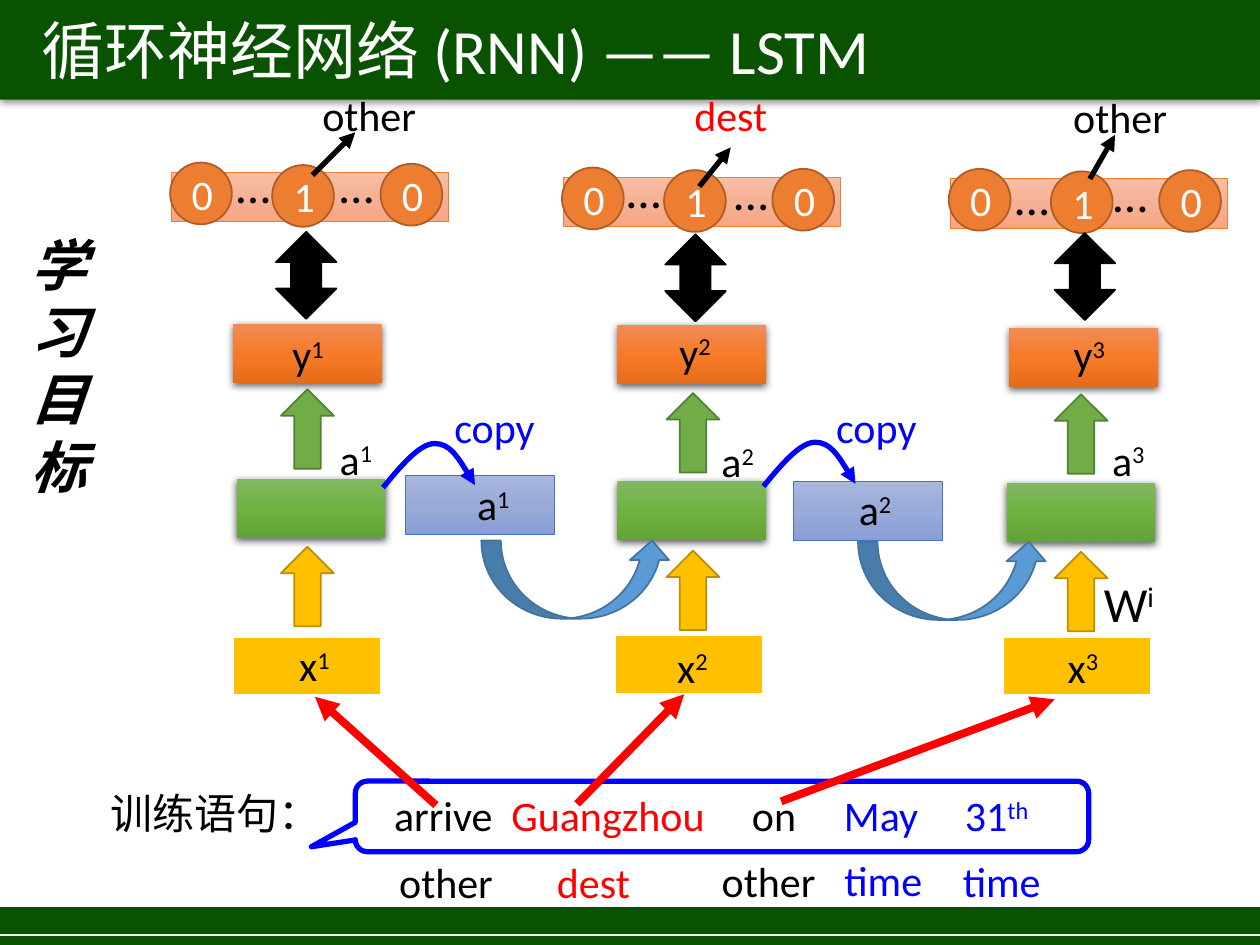
from copy import deepcopy
from dataclasses import dataclass

from lxml import etree
from pptx import Presentation
from pptx.dml.color import RGBColor
from pptx.enum.shapes import MSO_CONNECTOR, MSO_SHAPE
from pptx.enum.text import MSO_ANCHOR, MSO_AUTO_SIZE, PP_ALIGN
from pptx.oxml.ns import qn
from pptx.util import Inches, Pt

LEFT, CENTER, MIDDLE = PP_ALIGN.LEFT, PP_ALIGN.CENTER, MSO_ANCHOR.MIDDLE
RECT, OVAL, CALLOUT = MSO_SHAPE.RECTANGLE, MSO_SHAPE.OVAL, MSO_SHAPE.ROUNDED_RECTANGULAR_CALLOUT
UP, UP_DOWN, CURVED_UP = MSO_SHAPE.UP_ARROW, MSO_SHAPE.UP_DOWN_ARROW, MSO_SHAPE.CURVED_UP_ARROW
STRAIGHT = MSO_CONNECTOR.STRAIGHT


@dataclass(frozen=True)
class Theme:
    font: str = "Calibri"
    title: int = 36
    side: int = 32
    large: int = 28
    body: int = 24
    black: str = "000000"
    white: str = "FFFFFF"
    band: str = "095200"
    red: str = "FF0000"
    blue: str = "0000FF"
    # Fill and edge
    unit: tuple = ("ED7D31", "AF5C24")
    yellow: tuple = ("FFC000", "BD8E00")
    green: tuple = ("70AD47", "538035")
    loop: tuple = ("5B9BD5", "43739E")
    # Gradient stops
    hidden: tuple = ("81B861", "6FB242", "62A336")
    output: tuple = ("F18C57", "F67B28", "E56C19")
    memory: tuple = ("A8B7DF", "9AABD9", "889ED7")
    memory_edge: str = "4472C4"
    vector: tuple = ("F7BDA5", "F5B196", "F8A582")


T = Theme()
BOX = (1.18, 0.47)

# One entry per time step; places are (left, top) in inches
STEPS = [
    dict(number=1, x=(1.85, 5.05), a=(1.88, 3.8), y=(1.85, 2.57), double=(2.19, 1.84),
         arrows=((2.23, 4.34), (2.23, 3.09)), vector=(1.36, 1.37),
         x_label=(2, 5.03), y_label=(1.95, 2.56), a_label=(2.51, 3.39),
         dots=((1.77, 1.18), (2.59, 1.18)), slot=("other", T.black), slot_at=(2.42, 0.66),
         pointer=(2.48, 1.39, 2.82, 1.05), word_arrow=(3.46, 6.39, 2.5, 5.53)),
    dict(number=2, x=(4.88, 5.04), a=(4.9, 3.82), y=(4.9, 2.58), double=(5.28, 1.86),
         arrows=((5.29, 4.37), (5.29, 3.12)), vector=(4.47, 1.41),
         x_label=(5, 5.04), y_label=(5.02, 2.54), a_label=(5.54, 3.41),
         dots=((4.87, 1.22), (5.72, 1.23)), slot=("dest", T.red), slot_at=(5.29, 0.66),
         pointer=(5.55, 1.48, 5.8, 1.17), word_arrow=(4.58, 6.38, 5.43, 5.51)),
    dict(number=3, x=(7.96, 5.05), a=(7.99, 3.83), y=(8.01, 2.6), double=(8.37, 1.85),
         arrows=((8.37, 4.38), (8.37, 3.13)), vector=(7.54, 1.42),
         x_label=(8.1, 5.04), y_label=(8.15, 2.56), a_label=(8.64, 3.4),
         dots=((7.95, 1.27), (8.73, 1.25)), slot=("other", T.black), slot_at=(8.38, 0.68),
         pointer=(8.65, 1.42, 8.85, 1.07), word_arrow=(6.2, 6.36, 8.37, 5.55)),
]


def write(frame, *parts, size=T.body, color=T.black, align=CENTER, strong=False):
    """Fill a frame with strings or (string, color) parts; ^ starts a superscript."""
    frame.word_wrap = True
    paragraph = frame.paragraphs[0]
    paragraph.alignment = align
    for part in parts:
        text, ink = (part, color) if isinstance(part, str) else part
        base, _, raised = text.partition("^")
        for piece in filter(None, (base, raised)):
            run = paragraph.add_run()
            run.text = piece
            run.font.name, run.font.size = T.font, Pt(size)
            run.font.bold = run.font.italic = strong
            run.font.color.rgb = RGBColor.from_string(ink)
            if piece is raised:
                run.font._element.set("baseline", "30000")


def add_label(shapes, at, extent, *parts, **style):
    box = shapes.add_textbox(*map(Inches, at + extent))
    box.text_frame.auto_size = MSO_AUTO_SIZE.SHAPE_TO_FIT_TEXT
    write(box.text_frame, *parts, **style)


def set_shadow(shape, alpha, blur, distance):
    shape.shadow.inherit = False
    effects = shape._element.spPr.find(qn("a:effectLst"))
    shadow = etree.SubElement(effects, qn("a:outerShdw"), blurRad=str(Pt(blur)),
                              dist=str(Pt(distance)), dir="5400000", rotWithShape="0")
    ink = etree.SubElement(shadow, qn("a:srgbClr"), val=T.black)
    etree.SubElement(ink, qn("a:alpha"), val=str(alpha * 1000))


def set_fill(shape, fill):
    if fill is None:
        shape.fill.background()
    elif isinstance(fill, str):
        shape.fill.solid()
        shape.fill.fore_color.rgb = RGBColor.from_string(fill)
    else:
        shape.fill.gradient()
        shape.fill.gradient_angle = 270
        stops = shape._element.spPr.find(".//" + qn("a:gsLst"))
        stops.append(deepcopy(stops[0]))
        for stop, color, position in zip(shape.fill.gradient_stops, fill, (0, 0.5, 1)):
            stop.color.rgb, stop.position = RGBColor.from_string(color), position


def set_line(line, color, width, arrow=False):
    line.color.rgb = RGBColor.from_string(color)
    line.width = Pt(width)
    if arrow:
        etree.SubElement(line._get_or_add_ln(), qn("a:tailEnd"), type="triangle")


def add_shape(shapes, kind, at, extent, fill, edge=None, width=1):
    shape = shapes.add_shape(kind, *map(Inches, at + extent))
    shape.shadow.inherit = False
    set_fill(shape, fill)
    if edge:
        set_line(shape.line, edge, width)
    else:
        shape.line.fill.background()
    return shape


def add_line(shapes, ends, color, width, arrow=True):
    connector = shapes.add_connector(STRAIGHT, *map(Inches, ends))
    set_line(connector.line, color, width, arrow)
    etree.SubElement(connector._element.spPr, qn("a:effectLst"))


def add_copy_curve(shapes, left, top):
    """Arrow of two Bezier segments from a hidden layer to its memory."""
    offsets = ((0.14, -0.17), (0.29, -0.35), (0.41, -0.35),
               (0.53, -0.35), (0.63, -0.19), (0.73, -0.02))
    builder = shapes.build_freeform(Inches(left), Inches(top))
    builder.add_line_segments([(Inches(left + dx), Inches(top + dy)) for dx, dy in offsets], False)
    curve = builder.convert_to_shape()
    outline = curve._element.spPr.find(".//" + qn("a:path"))
    segments = outline.findall(qn("a:lnTo"))
    for start in (0, 3):
        bezier = etree.SubElement(outline, qn("a:cubicBezTo"))
        for segment in segments[start:start + 3]:
            bezier.append(segment[0])
            outline.remove(segment)
    curve.shadow.inherit = False
    set_fill(curve, None)
    set_line(curve.line, T.blue, 3, arrow=True)


def add_bands(slide):
    title = slide.shapes.title
    title.left, title.top, title.width, title.height = map(Inches, (0, -0.01, 10, 0.8))
    set_fill(title, T.band)
    set_shadow(title, 40, 4, 1)
    frame = title.text_frame
    frame.auto_size, frame.vertical_anchor = MSO_AUTO_SIZE.NONE, MIDDLE
    frame.margin_left = Inches(0.33)
    write(frame, "循环神经网络 (RNN) —— LSTM", size=T.title, color=T.white, align=LEFT)
    add_shape(slide.shapes, RECT, (0, 7.2), (10, 0.3), T.band)
    add_line(slide.shapes, (0, 7.42, 10, 7.42), T.white, 0.75, arrow=False)


def add_vector(shapes, left, top):
    group = shapes.add_group_shape().shapes
    add_shape(group, RECT, (left, top), (2.2, 0.39), T.vector, T.unit[0], 0.5)
    for digit, dx, dy in (("1", 0.8, -0.06), ("0", -0.01, -0.08), ("0", 1.66, -0.07)):
        unit = add_shape(group, OVAL, (left + dx, top + dy), (0.49, 0.49), *T.unit)
        unit.text_frame.vertical_anchor = MIDDLE
        write(unit.text_frame, digit, color=T.white)


def add_step(shapes, step):
    # Input, hidden and output layers
    add_shape(shapes, RECT, step["x"], BOX, T.yellow[0], T.white, 1.5)
    for layer, fill in (("a", T.hidden), ("y", T.output)):
        set_shadow(add_shape(shapes, RECT, step[layer], BOX, fill), 63, 4.5, 1.5)
    for at, ink in zip(step["arrows"], (T.yellow, T.green)):
        add_shape(shapes, UP, at, (0.42, 0.63), *ink)
    for layer, width in (("x", 0.99), ("y", 0.99), ("a", 0.63)):
        add_label(shapes, step[layer + "_label"], (width, 0.5), f"{layer}^{step['number']}")
    # One-hot target and its slot name
    add_vector(shapes, *step["vector"])
    add_shape(shapes, UP_DOWN, step["double"], (0.48, 0.69), T.black, T.black)
    add_label(shapes, step["slot_at"], (1.02, 0.5), step["slot"])
    add_line(shapes, step["pointer"], T.black, 3)
    for at in step["dots"]:
        add_label(shapes, at, (0.48, 0.57), "…", size=T.large)


def add_memory(shapes, number, box_at, label_at, copy_at, curve_at, loop_at):
    add_shape(shapes, RECT, box_at, BOX, T.memory, T.memory_edge, 0.5)
    add_label(shapes, label_at, (0.99, 0.5), f"a^{number}")
    add_label(shapes, copy_at, (1.15, 0.5), "copy", color=T.blue)
    add_copy_curve(shapes, *curve_at)
    add_shape(shapes, CURVED_UP, loop_at, (1.51, 0.62), *T.loop)


def add_sentence(shapes):
    add_label(shapes, (0.78, 6.2), (1.98, 0.5), "训练语句：", align=LEFT)
    bubble = add_shape(shapes, CALLOUT, (2.82, 6.2), (5.82, 0.56), None, T.blue, 3)
    for index, value in enumerate((-0.56, 0.43, 0.17)):
        bubble.adjustments[index] = value
    # Words, each with its left edge and width
    for word, left, width in (("arrive", 3.03, 1), (("Guangzhou", T.red), 3.96, 1.75),
                              ("on", 5.87, 0.6), (("May", T.blue), 6.6, 0.8),
                              (("31^th", T.blue), 7.56, 0.8)):
        add_label(shapes, (left, 6.22), (width, 0.5), word, align=LEFT)
    for tag, left, top, color in (("other", 3.03, 6.75, T.black), ("dest", 4.2, 6.75, T.red),
                                  ("other", 5.59, 6.74, T.black), ("time", 6.5, 6.73, T.blue),
                                  ("time", 7.44, 6.74, T.blue)):
        add_label(shapes, (left, top), (1.02, 0.5), tag, color=color)
    for step in STEPS:
        add_line(shapes, step["word_arrow"], T.red, 4.5)


def main():
    deck = Presentation()
    deck.slide_width, deck.slide_height = Inches(10), Inches(7.5)
    slide = deck.slides.add_slide(deck.slide_layouts[5])
    shapes = slide.shapes
    add_bands(slide)
    for step in STEPS:
        add_step(shapes, step)
    # Memory copied to the next step
    add_memory(shapes, 1, (3.22, 3.77), (3.42, 3.75), (3.35, 3.14), (3.04, 3.87), (3.82, 4.29))
    add_memory(shapes, 2, (6.3, 3.82), (6.45, 3.79), (6.38, 3.14), (6.06, 3.86), (6.81, 4.3))
    add_label(shapes, (8.61, 4.5), (0.7, 0.57), "W^i", size=T.large)
    add_label(shapes, (0.14, 1.78), (0.71, 2.26), "学习目标",
              size=T.side, align=LEFT, strong=True)
    add_sentence(shapes)
    deck.save("out.pptx")


if __name__ == "__main__":
    main()
